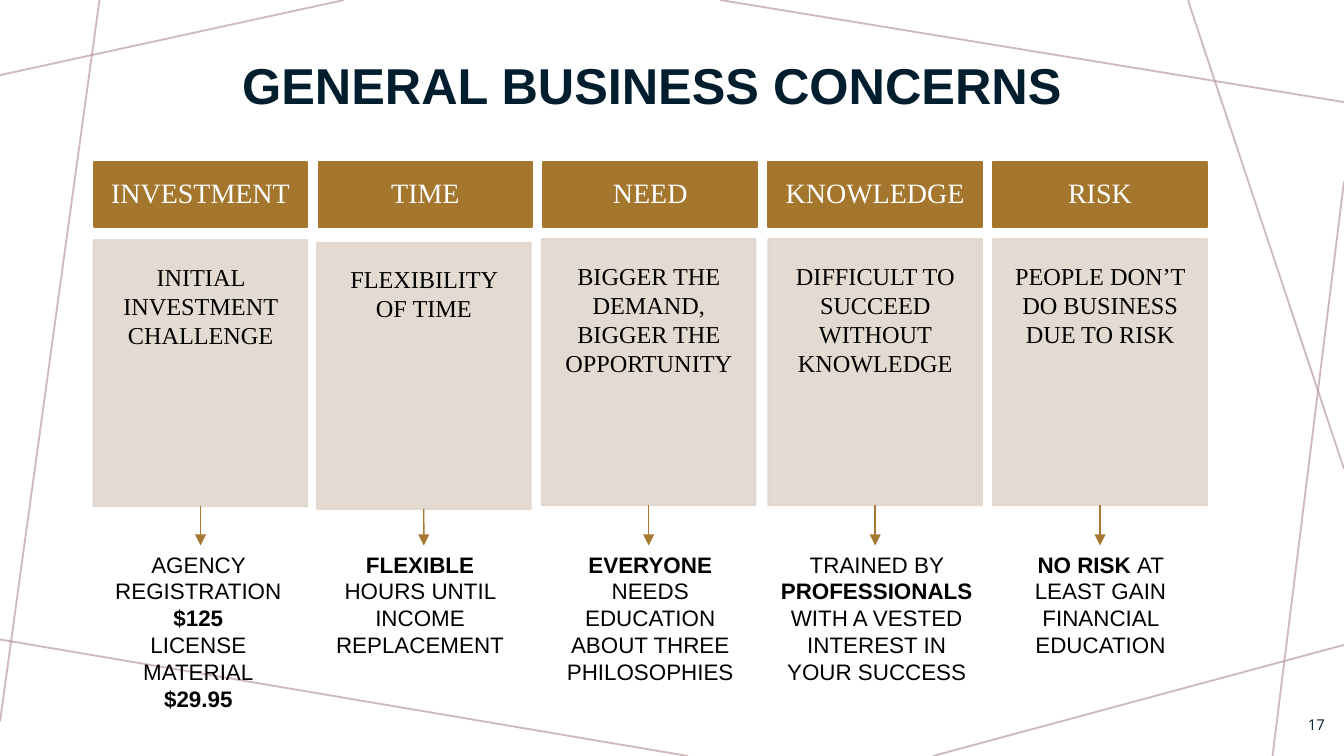
import pptx
import pptx.util
import pptx.dml.color
import pptx.enum.shapes
import pptx.enum.text
import pptx.oxml
import pptx.oxml.ns

Cm, Pt = pptx.util.Cm, pptx.util.Pt
RGB = pptx.dml.color.RGBColor
ALIGN = pptx.enum.text.PP_ALIGN
ANCHOR = pptx.enum.text.MSO_ANCHOR
RECT = pptx.enum.shapes.MSO_SHAPE.RECTANGLE
STRAIGHT = pptx.enum.shapes.MSO_CONNECTOR.STRAIGHT

MAUVE = RGB(0xBA, 0x9C, 0xA0)
GOLD = RGB(0xA5, 0x77, 0x2E)
BRONZE = RGB(0xA5, 0x79, 0x31)
SAND = RGB(0xE0, 0xD6, 0xCC)
NAVY = RGB(0x00, 0x1E, 0x2E)
WHITE = RGB(0xFF, 0xFF, 0xFF)
BLACK = RGB(0x00, 0x00, 0x00)

WIDE, HIGH = 25.4, 14.29
RAYS = [
    (6.5, 0, 0, 1.42), (1.88, 0, 0, 13.64), (13, HIGH, -0.1, 12.07),
    (WIDE, 12.19, 17.63, HIGH), (WIDE, 3.43, 24.05, HIGH),
    (WIDE, 8.86, 22.45, 0), (WIDE, 1.93, 13.61, 0),
]

# Head, card text, card offset (x, y), note centre shift, note width,
# and note paragraphs as lists of (text, bold) runs
COLUMNS = [
    ("INVESTMENT", "INITIAL INVESTMENT CHALLENGE", (0, 0.02), -0.04, 3.81,
     [[("AGENCY REGISTRATION", False)], [("$125", True)],
      [("LICENSE MATERIAL", False)], [("$29.95", True)]]),
    ("TIME", "FLEXIBILITY OF TIME", (-0.03, 0.07), -0.1, 3.81,
     [[("FLEXIBLE", True), (" HOURS UNTIL INCOME REPLACEMENT", False)]]),
    ("NEED", "BIGGER THE DEMAND, BIGGER THE OPPORTUNITY", (-0.03, 0), 0, 3.81,
     [[("EVERYONE", True),
       (" NEEDS EDUCATION ABOUT THREE PHILOSOPHIES", False)]]),
    ("KNOWLEDGE", "DIFFICULT TO SUCCEED WITHOUT KNOWLEDGE", (0, 0), 0.03, 3.94,
     [[("TRAINED BY ", False), ("PROFESSIONALS", True),
       (" WITH A VESTED INTEREST IN YOUR SUCCESS", False)]]),
    ("RISK", "PEOPLE DON’T DO BUSINESS DUE TO RISK", (0, 0), 0.01, 3.81,
     [[("NO RISK ", True), ("AT LEAST GAIN FINANCIAL EDUCATION", False)]]),
]


def fade(fill, share):
    """Set the opacity of a solid fill's colour, in percent."""
    for color in fill.iter(pptx.oxml.ns.qn("a:srgbClr")):
        alpha = color.makeelement(pptx.oxml.ns.qn("a:alpha"),
                                  {"val": str(share * 1000)})
        color.append(alpha)


def write(shape, paras, font, size, color, align=ALIGN.CENTER,
          anchor=ANCHOR.TOP, inset=(0.1, 0.1), space=None, wrap=True):
    frame = shape.text_frame
    frame.word_wrap = wrap
    frame.auto_size = pptx.enum.text.MSO_AUTO_SIZE.NONE
    frame.vertical_anchor = anchor
    frame.margin_left = frame.margin_right = Cm(inset[0])
    frame.margin_top = frame.margin_bottom = Cm(inset[1])
    for at, runs in enumerate(paras):
        para = frame.add_paragraph() if at else frame.paragraphs[0]
        para.alignment = align
        if space:
            para.line_spacing = space
        for text, bold in runs:
            run = para.add_run()
            run.text = text
            run.font.name = font
            run.font.size = Pt(size)
            run.font.bold = bold
            run.font.color.rgb = color


def block(slide, box, color, share=100):
    shape = slide.shapes.add_shape(RECT, *map(Cm, box))
    shape.shadow.inherit = False
    shape.fill.solid()
    shape.fill.fore_color.rgb = color
    shape.line.color.rgb = color
    shape.line.width = Pt(1)
    if share < 100:
        fade(shape.fill._xPr, share)
    return shape


def stroke(slide, ends, color, width):
    line = slide.shapes.add_connector(STRAIGHT, *map(Cm, ends))
    line.line.color.rgb = color
    line.line.width = Pt(width)
    props = line._element.spPr
    props.append(props.makeelement(pptx.oxml.ns.qn("a:effectLst"), {}))
    return line


def backdrop(slide):
    for ends in RAYS:
        line = stroke(slide, ends, MAUVE, 1)
        fade(line.line._get_or_add_ln(), 70)


def heading(slide, box):
    title = slide.shapes.title
    title.left, title.top, title.width, title.height = map(Cm, box)
    write(title, [[("GENERAL BUSINESS CONCERNS", True)]], "Arial", 27, NAVY,
          anchor=ANCHOR.MIDDLE, space=0.9)


def column(slide, box, head, body, nudge, shift, span, note):
    """Stack a head, a card, an arrow and a note in the box."""
    left, top, width, height = box
    bar = block(slide, (left, top, width, 1.22), GOLD)
    write(bar, [[(head, False)]], "Times New Roman", 15, WHITE,
          anchor=ANCHOR.MIDDLE, inset=(0.2, 0.1), space=0.9)

    x, y = left + nudge[0], top + 1.45 + nudge[1]
    card = block(slide, (x, y, width, 5.03), SAND, 90)
    write(card, [[(body, False)]], "Times New Roman", 13, BLACK,
          inset=(0.38, 0.41))

    base, mid = top + 7.24, x + width / 2
    arrow = stroke(slide, (mid, y + 5.03, mid, base), BRONZE, 0.75)
    arrow.begin_connect(card, 2)
    tail = pptx.oxml.parse_xml(
        '<a:tailEnd %s type="triangle"/>' % pptx.oxml.ns.nsdecls("a"))
    arrow.line._get_or_add_ln().append(tail)

    start = left + width / 2 + shift - span / 2
    label = slide.shapes.add_textbox(Cm(start), Cm(base), Cm(span),
                                     Cm(top + height - base))
    write(label, note, "Arial", 12, BLACK)


def number(slide, box):
    label = slide.shapes.add_textbox(*map(Cm, box))
    write(label, [[("17", False)]], "Open Sans", 8, NAVY, align=ALIGN.RIGHT,
          anchor=ANCHOR.MIDDLE, wrap=False)


def main():
    deck = pptx.Presentation()
    deck.slide_width, deck.slide_height = Cm(WIDE), Cm(HIGH)
    slide = deck.slides.add_slide(deck.slide_layouts[5])
    backdrop(slide)
    heading(slide, (0.89, 0.99, 22.86, 1.35))
    for at, parts in enumerate(COLUMNS):
        column(slide, (1.77 + at * 4.25, 3.07, 4.04, 10.4), *parts)
    number(slide, (24.61, 13.44, 0.53, 0.53))
    deck.save("out.pptx")


if __name__ == "__main__":
    main()
